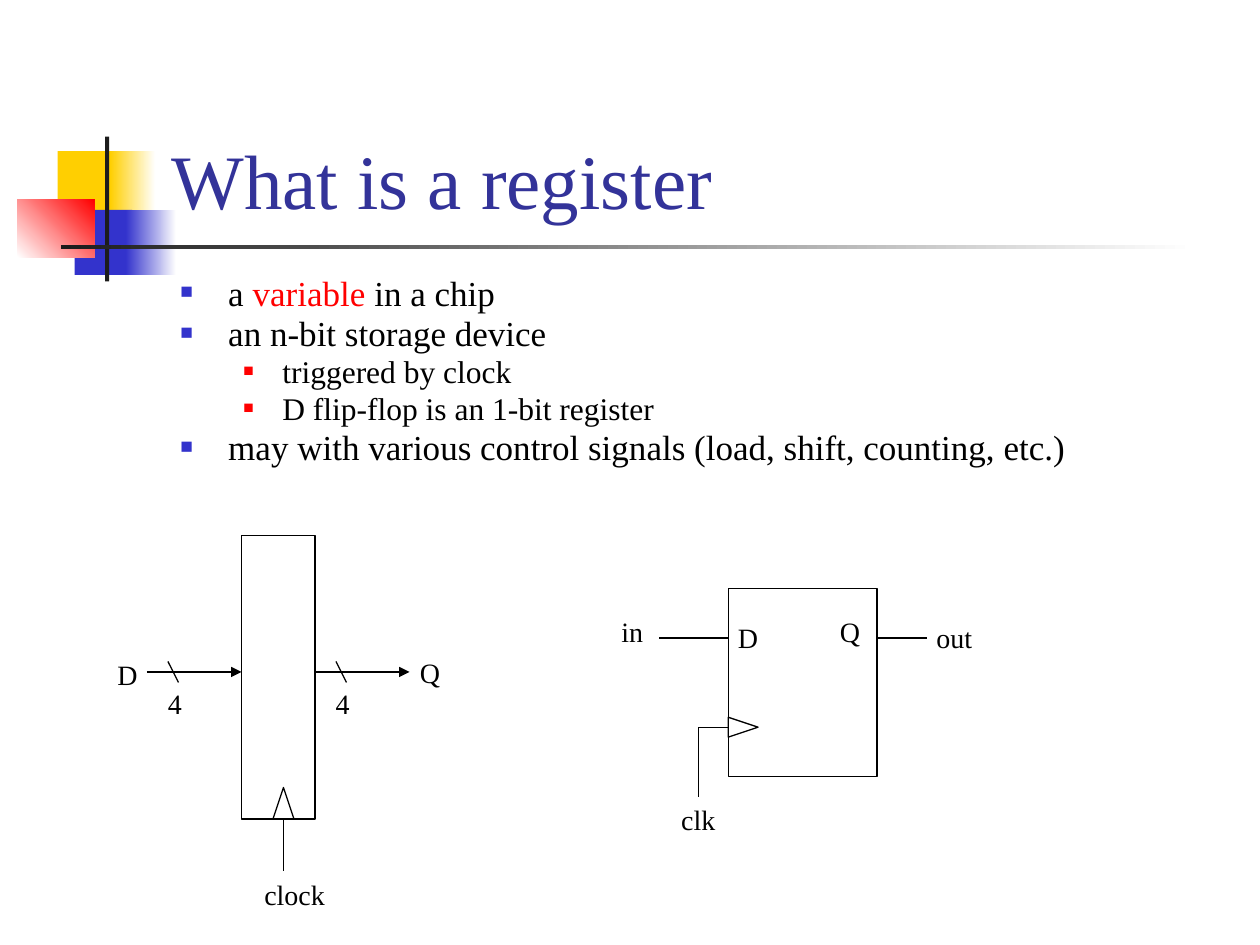
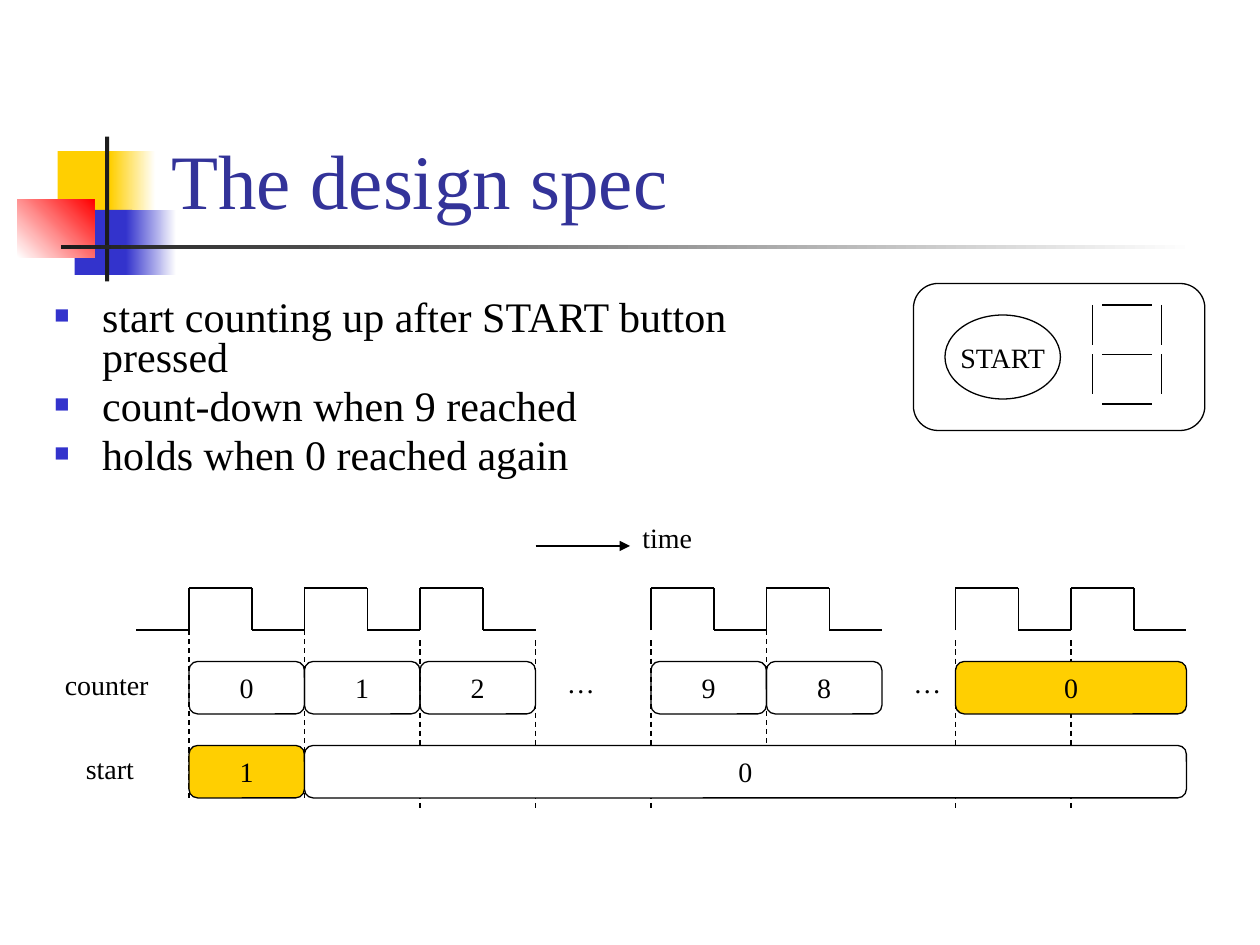
"""Build two lecture slides: registers, and the specification of a counter."""
import itertools
from dataclasses import dataclass
from typing import Any, NamedTuple, Optional, Sequence

import pptx
import pptx.dml.color
import pptx.enum.dml
import pptx.enum.shapes
import pptx.enum.text
import pptx.oxml.ns
import pptx.util
from lxml import etree

RGBColor = pptx.dml.color.RGBColor
Shape = pptx.enum.shapes.MSO_SHAPE
Align = pptx.enum.text.PP_ALIGN
Anchor = pptx.enum.text.MSO_ANCHOR

BLACK = RGBColor(0x00, 0x00, 0x00)
WHITE = RGBColor(0xFF, 0xFF, 0xFF)
YELLOW = RGBColor(0xFF, 0xCF, 0x01)
BLUE = RGBColor(0x33, 0x33, 0xCC)
RED = RGBColor(0xFF, 0x00, 0x00)
CHARCOAL = RGBColor(0x1C, 0x1C, 0x1C)
TITLE_BLUE = RGBColor(0x33, 0x33, 0x99)

FONT = "Times New Roman"
LABEL_SIZE = 16
LABEL_ROWS = 4.4
LINE_WIDTH = pptx.util.Pt(0.75)


class Area(NamedTuple):
    """A rectangle in grid cells."""
    col: float
    row: float
    cols: float
    rows: float


class Point(NamedTuple):
    """A point in grid cells."""
    col: float
    row: float


@dataclass(frozen=True)
class Grid:
    """A square grid; origin and cell side in inches."""
    cell: float
    left: float = 0
    top: float = 0

    def point(self, point: Point) -> tuple:
        """Return the slide position of a grid point."""
        return (pptx.util.Inches(self.left + point.col * self.cell),
                pptx.util.Inches(self.top + point.row * self.cell))

    def area(self, area: Area) -> tuple:
        """Return left, top, width and height on the slide."""
        return (*self.point(Point(area.col, area.row)),
                pptx.util.Inches(area.cols * self.cell),
                pptx.util.Inches(area.rows * self.cell))


class Band(NamedTuple):
    """A decorative bar; with an end colour it is a gradient."""
    area: Area
    color: RGBColor
    end: Optional[RGBColor] = None
    angle: float = 0


class Label(NamedTuple):
    """A one-line caption on the page grid."""
    text: str
    col: float
    row: float
    cols: float


class Bullet(NamedTuple):
    """A bulleted line; text between asterisks is red."""
    text: str
    size: int
    level: int = 0


class Level(NamedTuple):
    """The look of a bullet level; lengths in inches."""
    margin: float
    hang: float
    color: RGBColor
    percent: int


class Block(NamedTuple):
    """A rounded value box of the timing diagram."""
    text: str
    col: float
    cols: float
    row: float
    fill: Optional[RGBColor] = None


PAGE = Grid(1 / 12)  # 120 columns by 90 rows
TITLE_AREA = Area(15.15, 2.8, 102.2, 19.2)
LEVELS = (Level(0.38, 0.38, BLUE, 60), Level(0.81, 0.31, RED, 55))
BANDS = (
    Band(Area(5.5, 14.4, 5.8, 6.2), YELLOW),
    Band(Area(10.5, 14.4, 4.3, 6.2), YELLOW, WHITE),
    Band(Area(7.1, 20, 5.5, 6.2), BLUE),
    Band(Area(12, 20, 4.8, 6.2), BLUE, WHITE),
    Band(Area(1.65, 19, 7.35, 5.5), WHITE, RED, 45),
    Band(Area(10, 13, 0.4, 13.8), CHARCOAL),
    Band(Area(5.8, 23.35, 108, 0.4), CHARCOAL, WHITE),
)


def set_font(para: Any, size: float, color: RGBColor) -> None:
    """Give a paragraph its font."""
    para.font.name = FONT
    para.font.size = pptx.util.Pt(size)
    para.font.color.rgb = color


def add_child(parent: Any, tag: str, **attributes: str) -> Any:
    """Append a DrawingML element."""
    return etree.SubElement(parent, pptx.oxml.ns.qn(tag), attributes)


def add_outline(page: Any, grid: Grid, area: Area, kind: Any = Shape.RECTANGLE,
                text: str = "", fill: Optional[RGBColor] = None) -> Any:
    """Draw a thin-lined shape, with centred text if there is any."""
    shape = page.shapes.add_shape(kind, *grid.area(area))
    shape.shadow.inherit = False
    shape.line.color.rgb = BLACK
    shape.line.width = LINE_WIDTH
    if fill is None:
        shape.fill.background()
    else:
        shape.fill.solid()
        shape.fill.fore_color.rgb = fill
    if text:
        frame = shape.text_frame
        frame.word_wrap = False
        frame.vertical_anchor = Anchor.MIDDLE
        para = frame.paragraphs[0]
        para.text = text
        para.alignment = Align.CENTER
        set_font(para, LABEL_SIZE, BLACK)
    return shape


def add_line(page: Any, grid: Grid, start: Point, end: Point,
             arrow: bool = False, dashed: bool = False) -> None:
    """Draw a straight line between two grid points."""
    line = page.shapes.add_connector(pptx.enum.shapes.MSO_CONNECTOR.STRAIGHT,
                                     *grid.point(start), *grid.point(end))
    line.line.color.rgb = BLACK
    line.line.width = LINE_WIDTH
    if dashed:
        line.line.dash_style = pptx.enum.dml.MSO_LINE.DASH
    if arrow:
        add_child(line.line._get_or_add_ln(), "a:tailEnd", type="triangle")
    add_child(line._element.spPr, "a:effectLst")


def add_trace(page: Any, grid: Grid, points: Sequence[Point]) -> None:
    """Join points with lines."""
    for start, end in itertools.pairwise(points):
        add_line(page, grid, start, end)


def add_labels(page: Any, labels: Sequence[Label]) -> None:
    """Write captions."""
    for label in labels:
        area = Area(label.col, label.row, label.cols, LABEL_ROWS)
        frame = page.shapes.add_textbox(*PAGE.area(area)).text_frame
        frame.word_wrap = False
        frame.auto_size = pptx.enum.text.MSO_AUTO_SIZE.SHAPE_TO_FIT_TEXT
        frame.paragraphs[0].text = label.text
        set_font(frame.paragraphs[0], LABEL_SIZE, BLACK)


def add_bullets(page: Any, area: Area, bullets: Sequence[Bullet]) -> None:
    """Write the bulleted body text."""
    frame = page.shapes.add_textbox(*PAGE.area(area)).text_frame
    frame.word_wrap = True
    for number, bullet in enumerate(bullets):
        para = frame.add_paragraph() if number else frame.paragraphs[0]
        level = LEVELS[bullet.level]
        para.level = bullet.level
        props = para._p.get_or_add_pPr()
        props.set("marL", str(pptx.util.Inches(level.margin)))
        props.set("indent", str(-pptx.util.Inches(level.hang)))
        color = add_child(props, "a:buClr")
        add_child(color, "a:srgbClr", val=str(level.color))
        add_child(props, "a:buSzPct", val=str(level.percent * 1000))
        add_child(props, "a:buFont", typeface=FONT)
        add_child(props, "a:buChar", char="■")
        para.line_spacing = 0.8
        para.space_before = pptx.util.Pt(0.2 * bullet.size)
        set_font(para, bullet.size, BLACK)
        for index, piece in enumerate(bullet.text.split("*")):
            span = para.add_run()
            span.text = piece
            if index % 2:
                span.font.color.rgb = RED


def add_page(deck: Any, title: str) -> Any:
    """Add a slide with the shared bands and title."""
    page = deck.slides.add_slide(deck.slide_layouts[6])
    for band in BANDS:
        bar = page.shapes.add_shape(Shape.RECTANGLE, *PAGE.area(band.area))
        bar.shadow.inherit = False
        bar.line.fill.background()
        if band.end is None:
            bar.fill.solid()
            bar.fill.fore_color.rgb = band.color
        else:
            bar.fill.gradient()
            bar.fill.gradient_angle = band.angle
            for stop, color in zip(bar.fill.gradient_stops, (band.color, band.end)):
                stop.color.rgb = color
    frame = page.shapes.add_textbox(*PAGE.area(TITLE_AREA)).text_frame
    frame.word_wrap = True
    frame.vertical_anchor = Anchor.BOTTOM
    frame.paragraphs[0].text = title
    set_font(frame.paragraphs[0], 44, TITLE_BLUE)
    return page


def draw_register(page: Any) -> None:
    """Draw the 4-bit register."""
    add_outline(page, PAGE, Area(23, 51, 7, 27))
    add_outline(page, PAGE, Area(26, 75, 2, 3), Shape.ISOSCELES_TRIANGLE)
    for left, slash in ((14, 16), (30, 32)):
        add_line(page, PAGE, Point(left, 64), Point(left + 9, 64), arrow=True)
        add_line(page, PAGE, Point(slash, 63), Point(slash + 1, 65))
        add_labels(page, [Label("4", slash - 1.2, 64.8, 3.8)])
    add_line(page, PAGE, Point(27, 78), Point(27, 83))
    add_labels(page, [Label("D", 10, 62, 4.4), Label("Q", 38.8, 61.8, 4.4),
                      Label("clock", 24, 83, 8.4)])


def draw_flip_flop(page: Any) -> None:
    """Draw the D flip-flop."""
    grid = Grid(0.0787, 5.78, 4.67)
    add_outline(page, grid, Area(0, 0, 15, 19))
    add_outline(page, grid, Area(0.5, 12.5, 2, 3), Shape.ISOSCELES_TRIANGLE).rotation = 90
    add_line(page, grid, Point(15, 5), Point(20, 5))
    add_line(page, grid, Point(0, 5), Point(-7, 5))
    add_trace(page, grid, [Point(0, 14), Point(-3, 14), Point(-3, 21)])
    add_labels(page, [Label("D", 69.1, 58.5, 4.4), Label("Q", 78.8, 57.9, 4.4),
                      Label("in", 58, 57.9, 4.7), Label("out", 88, 58.5, 6.1),
                      Label("clk", 63.7, 75.8, 6)])


def draw_panel(page: Any) -> None:
    """Draw the START button and the seven-segment digit."""
    grid = Grid(0.0787, 8.67, 2.42)
    for row in (0, 5, 10):
        add_line(page, grid, Point(1, row), Point(6, row))
    for col, row in itertools.product((0, 7), (0, 5)):
        add_line(page, grid, Point(col, row), Point(col, row + 4))
    add_outline(page, PAGE, Area(87, 27, 27.75, 14), Shape.ROUNDED_RECTANGLE)
    add_outline(page, PAGE, Area(90, 30, 11, 8), Shape.OVAL, "START")


def draw_timing(page: Any) -> None:
    """Draw the clock, counter and start signals over time."""
    period, pulse, high, low = 11, 6, 56, 60
    counter_row, start_row = 63, 71
    add_line(page, PAGE, Point(13, low), Point(18, low))
    for first, cycles in ((18, 3), (62, 2), (91, 2)):
        points = [Point(first, low)]
        for cycle in range(cycles):
            col = first + cycle * period
            points += [Point(col, high), Point(col + pulse, high),
                       Point(col + pulse, low), Point(col + period, low)]
        add_trace(page, PAGE, points)
    for top, cols in ((60, (18, 29, 73)), (61, (40, 51, 62, 91, 102))):
        for col in cols:
            add_line(page, PAGE, Point(col, top), Point(col, top + 16), dashed=True)
    blocks = [Block(text, col, period, counter_row) for text, col in
              zip("01298", (18, 29, 40, 62, 73))]
    blocks += [Block("0", 91, 2 * period, counter_row, YELLOW),
               Block("1", 18, period, start_row, YELLOW),
               Block("0", 29, 84, start_row, WHITE)]
    for block in blocks:
        add_outline(page, PAGE, Area(block.col, block.row, block.cols, 5),
                    Shape.ROUNDED_RECTANGLE, block.text, block.fill)
    add_line(page, PAGE, Point(51, 52), Point(60, 52), arrow=True)
    add_labels(page, [Label("counter", 5, 63, 10.5), Label("start", 7, 71, 7.2),
                      Label("time", 60, 49, 7.3), Label("…", 52.8, 62.8, 5.1),
                      Label("…", 85.8, 62.8, 5.1)])


deck = pptx.Presentation()
deck.slide_width, deck.slide_height = PAGE.point(Point(120, 90))

register_page = add_page(deck, "What is a register")
add_bullets(register_page, Area(16, 26, 102, 20.5), [
    Bullet("a *variable* in a chip", 20), Bullet("an n-bit storage device", 20),
    Bullet("triggered by clock", 18, 1), Bullet("D flip-flop is an 1-bit register", 18, 1),
    Bullet("may with various control signals (load, shift, counting, etc.)", 20)])
draw_register(register_page)
draw_flip_flop(register_page)

spec_page = add_page(deck, "The design spec")
add_bullets(spec_page, Area(4, 28, 72, 20), [
    Bullet("start counting up after START button pressed", 24),
    Bullet("count-down when 9 reached", 24), Bullet("holds when 0 reached again", 24)])
draw_panel(spec_page)
draw_timing(spec_page)

deck.save("out.pptx")
